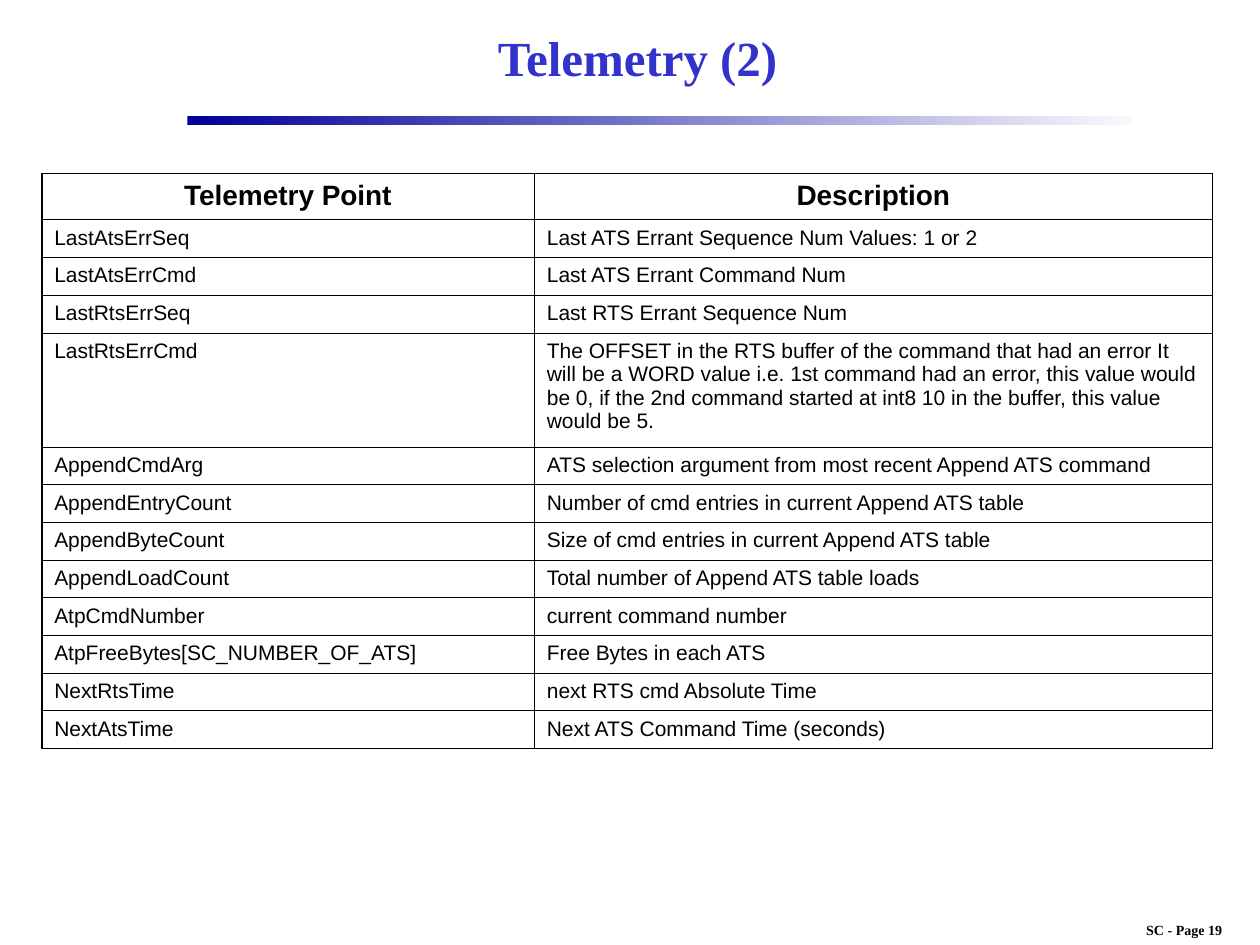
from lxml import etree
from pptx import Presentation
from pptx.dml.color import RGBColor
from pptx.enum.shapes import MSO_SHAPE
from pptx.enum.text import MSO_ANCHOR, PP_ALIGN
from pptx.oxml.ns import qn
from pptx.util import Cm, Pt

LEFT, CENTER = PP_ALIGN.LEFT, PP_ALIGN.CENTER
TOP, MIDDLE = MSO_ANCHOR.TOP, MSO_ANCHOR.MIDDLE
RECT = MSO_SHAPE.RECTANGLE

THIN, THICK = 0.45, 1.08
HEAD = ("Telemetry Point", "Description")
POINTS = [
    ("LastAtsErrSeq", "Last ATS Errant Sequence Num Values: 1 or 2"),
    ("LastAtsErrCmd", "Last ATS Errant Command Num"),
    ("LastRtsErrSeq", "Last RTS Errant Sequence Num"),
    ("LastRtsErrCmd",
     "The OFFSET in the RTS buffer of the command that had an error It will "
     "be a WORD value i.e. 1st command had an error, this value would be 0, "
     "if the 2nd command started at int8 10 in the buffer, this value would "
     "be 5."),
    ("AppendCmdArg",
     "ATS selection argument from most recent Append ATS command"),
    ("AppendEntryCount", "Number of cmd entries in current Append ATS table"),
    ("AppendByteCount", "Size of cmd entries in current Append ATS table"),
    ("AppendLoadCount", "Total number of Append ATS table loads"),
    ("AtpCmdNumber", "current command number"),
    ("AtpFreeBytes[SC_NUMBER_OF_ATS]", "Free Bytes in each ATS"),
    ("NextRtsTime", "next RTS cmd Absolute Time"),
    ("NextAtsTime", "Next ATS Command Time (seconds)"),
]
# Row heights in cm: header, one-line rows, and the four-line row
HIGH = [0.93] + [0.76] * len(POINTS)
HIGH[4] = 2.3
WIDE = [9.93, 13.67]


def color(code):
    return RGBColor.from_string(code)


def write(frame, text, size=12, font="Arial", ink="000000", bold=False,
          align=LEFT, wrap=True):
    frame.word_wrap = wrap
    par = frame.paragraphs[0]
    par.alignment = align
    run = par.add_run()
    run.text = text
    run.font.size, run.font.name, run.font.bold = Pt(size), font, bold
    run.font.color.rgb = color(ink)


def edge(cell, side, width, ink="000000"):
    props = cell._tc.get_or_add_tcPr()
    line = etree.SubElement(props, qn("a:" + side), w=str(int(Pt(width))))
    fill = etree.SubElement(line, qn("a:solidFill"))
    etree.SubElement(fill, qn("a:srgbClr"), val=ink)


class Page:
    serif = "Times New Roman"
    blue = "3333CC"
    fade = ("000099", "F9F9FD")

    def __init__(self, deck):
        self.slide = deck.slides.add_slide(deck.slide_layouts[5])

    def title(self, text, *box):
        shape = self.slide.shapes.title
        shape.left, shape.top, shape.width, shape.height = map(Cm, box)
        shape.text_frame.vertical_anchor = MIDDLE
        write(shape.text_frame, text, size=28, font=self.serif,
              ink=self.blue, bold=True, align=CENTER)

    def rule(self, *box):
        bar = self.slide.shapes.add_shape(RECT, *map(Cm, box))
        bar.shadow.inherit = False
        bar.line.fill.background()
        bar.fill.gradient()
        bar.fill.gradient_angle = 0
        for stop, code, spot in zip(bar.fill.gradient_stops, self.fade, (0, 1)):
            stop.color.rgb = color(code)
            stop.position = spot

    def label(self, text, *box):
        shape = self.slide.shapes.add_textbox(*map(Cm, box))
        write(shape.text_frame, text, size=8, font=self.serif, bold=True,
              align=CENTER, wrap=False)

    def table(self, rows, left, top):
        frame = self.slide.shapes.add_table(
            len(rows), len(WIDE), Cm(left), Cm(top),
            Cm(sum(WIDE)), Cm(sum(HIGH)))
        grid = frame.table
        grid.horz_banding = False
        for col, wide in zip(grid.columns, WIDE):
            col.width = Cm(wide)
        for row, high in zip(grid.rows, HIGH):
            row.height = Cm(high)
        for r, row in enumerate(rows):
            for c, text in enumerate(row):
                self.cell(grid.cell(r, c), text, r == 0, c == 0)

    def cell(self, cell, text, head, first):
        cell.vertical_anchor = TOP
        # Thick frame at the left, top and right; thin lines elsewhere
        edge(cell, "lnL", THICK if first else THIN)
        edge(cell, "lnR", THIN if first else THICK)
        edge(cell, "lnT", THICK if head else THIN)
        edge(cell, "lnB", THIN)
        cell.fill.background()
        write(cell.text_frame, text, size=16 if head else 12, bold=head,
              align=CENTER if head else LEFT)


def main():
    deck = Presentation()
    deck.slide_width, deck.slide_height = Cm(25.4), Cm(19.05)
    page = Page(deck)
    # Heading with its fading rule
    page.title("Telemetry (2)", 3.89, 0.2, 17.93, 1.9)
    page.rule(3.78, 2.33, 19.02, 0.19)
    # Telemetry points
    page.table([HEAD] + POINTS, 0.84, 3.5)
    # Page number
    page.label("SC - Page 19", 22.35, 18.46, 3.05, 0.58)
    deck.save("out.pptx")


if __name__ == "__main__":
    main()
